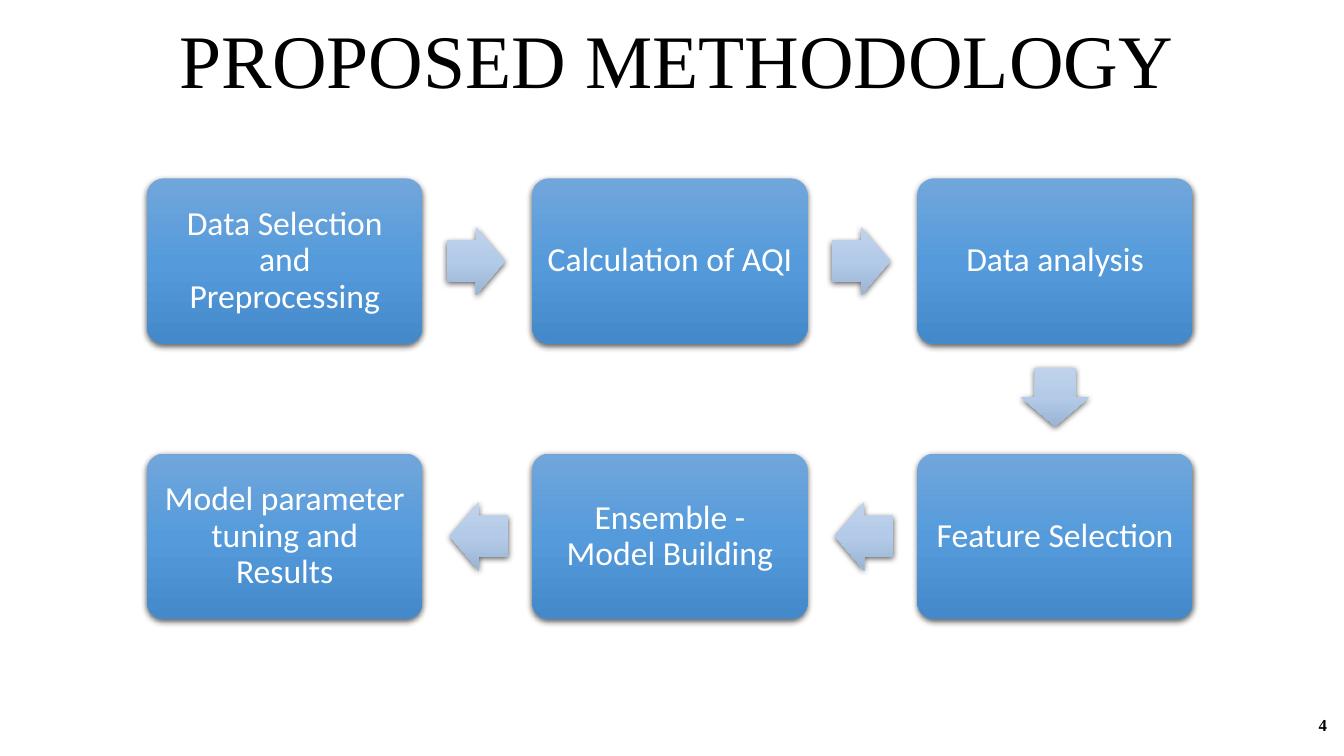
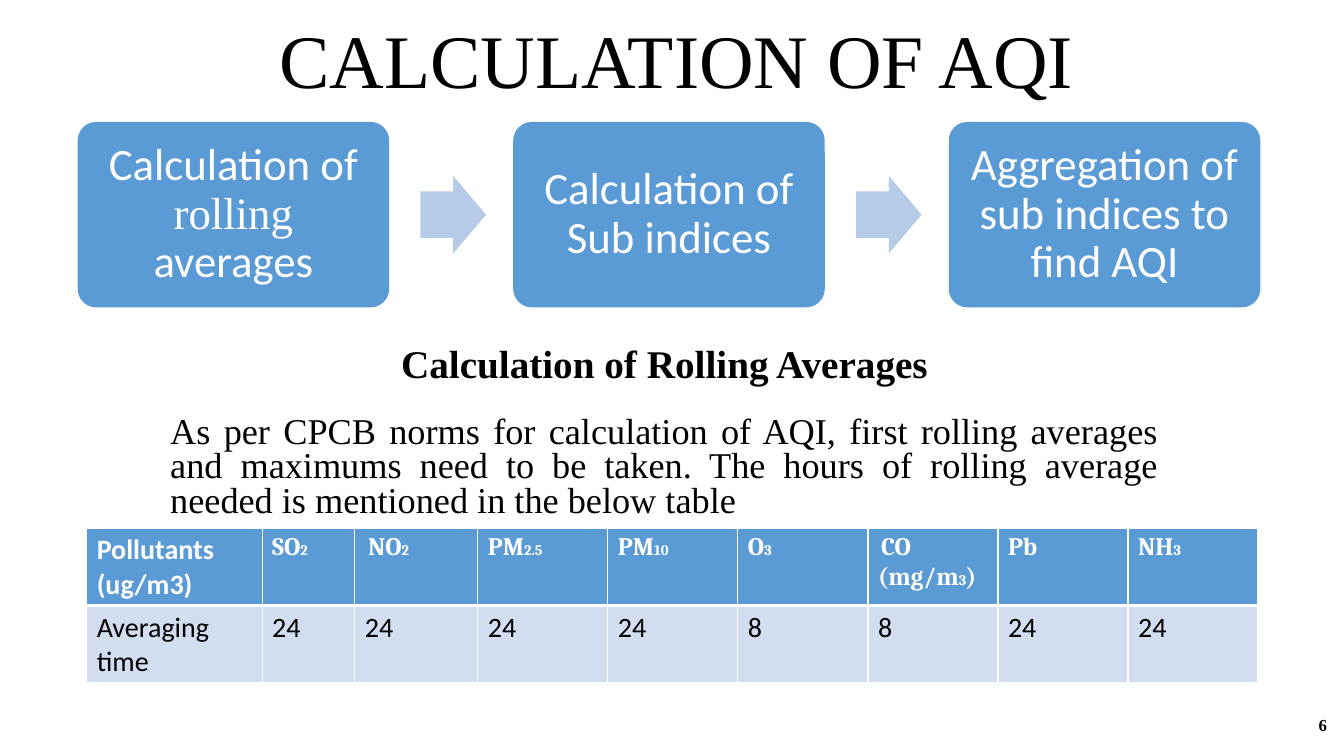
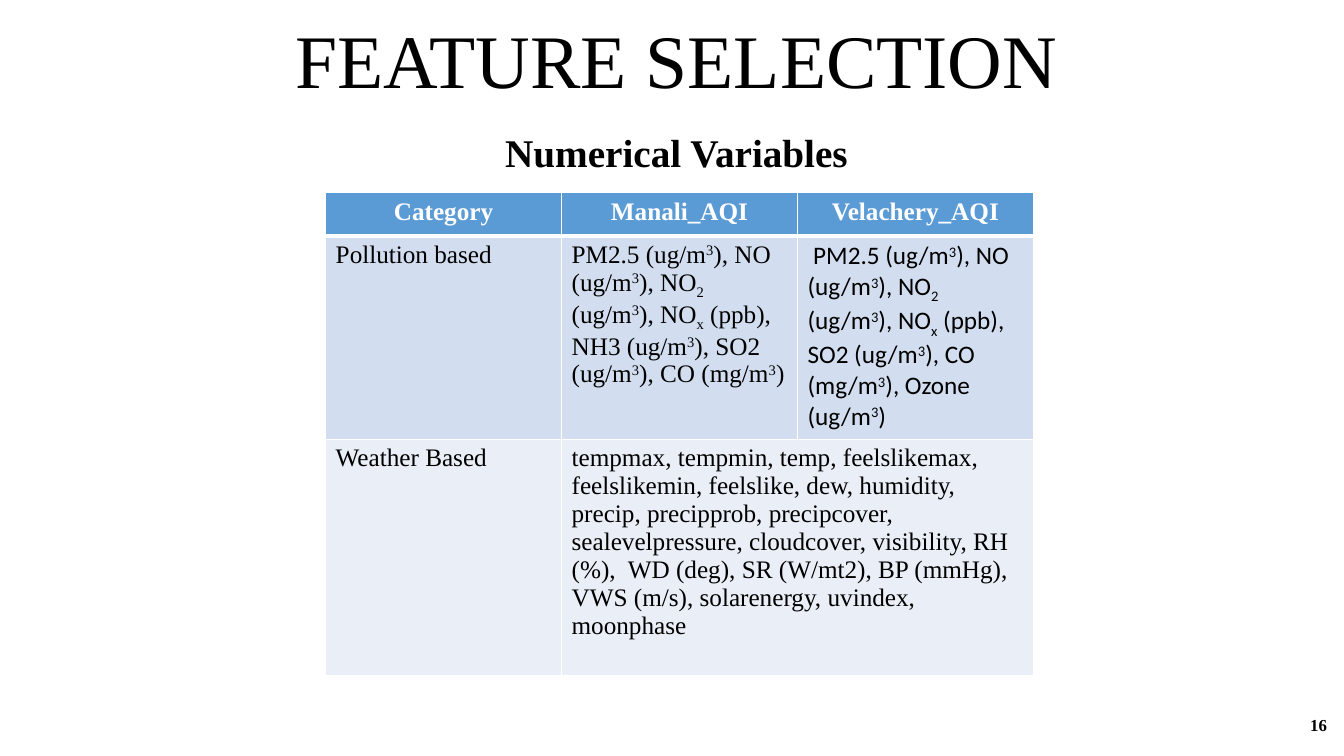
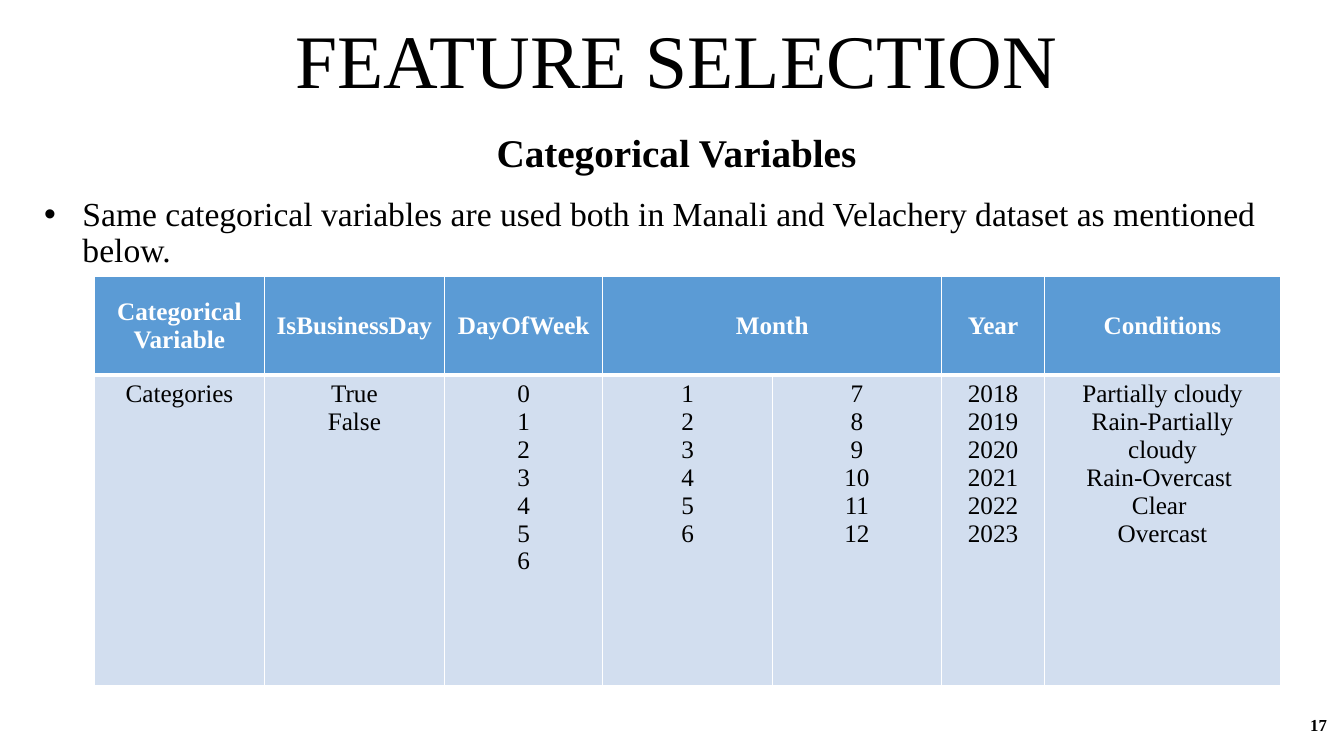
from copy import deepcopy

from lxml.etree import SubElement
from pptx import Presentation
from pptx.dml.color import RGBColor
from pptx.enum.shapes import MSO_SHAPE as Shape
from pptx.enum.text import MSO_ANCHOR as Anchor, PP_ALIGN as Align
from pptx.oxml.ns import qn
from pptx.util import Inches, Pt

COLORS = {
    "black": "000000", "white": "FFFFFF", "blue": "5B9BD5", "arrow": "B5CBE7",
    "band_dark": "D2DEEF", "band_light": "EAEFF7",
    "box_top": "71A6DB", "box_middle": "559BDB", "box_bottom": "448ACA",
    "arrow_top": "C0D2EB", "arrow_middle": "B3CBE9", "arrow_bottom": "9BB4D3",
}
SERIF, SANS, CAMBRIA = "Times New Roman", "Calibri", "Cambria"


def write(frame, text, size, font=SERIF, color="black", bold=False,
          align=Align.LEFT, spacing=None, before=None):
    """Text is a string with one paragraph a line, or a list of runs:
    strings or (string, format) pairs."""
    frame.word_wrap = True
    lines = [[line] for line in text.split("\n")] if isinstance(text, str) else [text]
    for index, runs in enumerate(lines):
        paragraph = frame.paragraphs[0] if index == 0 else frame.add_paragraph()
        paragraph.alignment = align
        paragraph.line_spacing = spacing
        paragraph.space_before = before
        for item in runs:
            content, changes = (item, {}) if isinstance(item, str) else item
            run = paragraph.add_run()
            run.text = content
            run.font.name = changes.get("font", font)
            run.font.size = Pt(changes.get("size", size))
            run.font.bold = bold
            run.font.color.rgb = RGBColor.from_string(COLORS[color])
            if "baseline" in changes:
                run._r.get_or_add_rPr().set("baseline", str(changes["baseline"]))


def add_grid(slide, left, top, widths, heights, rows, header, body):
    """Draw a banded table; None extends the cell on its left."""
    table = slide.shapes.add_table(
        len(rows), len(widths), Inches(left), Inches(top),
        Inches(sum(widths)), Inches(sum(heights))).table
    for column, width in zip(table.columns, widths):
        column.width = Inches(width)
    for row, height in zip(table.rows, heights):
        row.height = Inches(height)
    for r, texts in enumerate(rows):
        for c, text in enumerate(texts):
            cell = table.cell(r, c)
            properties = cell._tc.get_or_add_tcPr()
            for side in ("lnL", "lnR", "lnT", "lnB"):
                thick = (r == 0 and side == "lnB") or (r == 1 and side == "lnT")
                line = SubElement(properties, qn("a:" + side), w=str(Pt(3 if thick else 1)))
                fill = SubElement(line, qn("a:solidFill"))
                SubElement(fill, qn("a:srgbClr"), val=COLORS["white"])
            cell.fill.solid()
            band = ("blue", "band_dark", "band_light")[r]
            cell.fill.fore_color.rgb = RGBColor.from_string(COLORS[band])
            if text is None:
                table.cell(r, c - 1).merge(cell)
            else:
                write(cell.text_frame, text, **(body if r else header))
    return table


presentation = Presentation()
presentation.slide_width = Inches(13.33)
presentation.slide_height = Inches(7.5)

# Slides with their titles and page numbers
slides = []
for title, number in (("PROPOSED METHODOLOGY", "4"), ("CALCULATION OF AQI", "6"),
                      ("FEATURE SELECTION", "16"), ("FEATURE SELECTION", "17")):
    slide = presentation.slides.add_slide(presentation.slide_layouts[6])
    slides.append(slide)
    frame = slide.shapes.add_textbox(
        Inches(0.34), Inches(0.21), Inches(12.74), Inches(0.88)).text_frame
    frame.vertical_anchor = Anchor.BOTTOM
    write(frame, title, 54, align=Align.CENTER, spacing=0.9)
    frame = slide.shapes.add_textbox(
        Inches(10.26), Inches(6.99), Inches(3), Inches(0.4)).text_frame
    frame.vertical_anchor = Anchor.MIDDLE
    write(frame, number, 12, bold=True, align=Align.RIGHT)
method_slide, aqi_slide, numerical_slide, categorical_slide = slides

# Section headings
for slide, left, top, heading in (
        (aqi_slide, 1.59, 3.37, "Calculation of Rolling Averages"),
        (numerical_slide, 1.71, 1.28, "Numerical Variables"),
        (categorical_slide, 1.71, 1.28, "Categorical Variables")):
    frame = slide.shapes.add_textbox(
        Inches(left), Inches(top), Inches(10), Inches(0.63)).text_frame
    write(frame, heading, 28, bold=True, align=Align.CENTER, spacing=0.9, before=Pt(10))

# Flow charts: each arrow points from a box to the next one
ARROWS = {(1, 0): Shape.RIGHT_ARROW, (-1, 0): Shape.LEFT_ARROW, (0, 1): Shape.DOWN_ARROW}
flows = [
    {"slide": method_slide, "origin": (1.46, 1.77), "pitch": (3.82, 2.73),
     "box": (2.73, 1.64), "arrow": (0.58, 0.68), "gap": 0.24, "size": 24, "margin": 0.1,
     "box_colors": ("box_top", "box_middle", "box_bottom"),
     "arrow_colors": ("arrow_top", "arrow_middle", "arrow_bottom"),
     "steps": [("Data Selection and Preprocessing", 0, 0), ("Calculation of AQI", 1, 0),
               ("Data analysis", 2, 0), ("Feature Selection", 2, 1),
               ("Ensemble - Model Building", 1, 1),
               ("Model parameter tuning and Results", 0, 1)]},
    {"slide": aqi_slide, "origin": (0.77, 1.21), "pitch": (4.32, 0),
     "box": (3.09, 1.84), "arrow": (0.65, 0.77), "gap": 0.31, "size": 32, "margin": 0.13,
     "box_colors": ("blue",), "arrow_colors": ("arrow",),
     "steps": [(["Calculation of ", ("rolling", {"font": SERIF}), " averages"], 0, 0),
               ("Calculation of Sub indices", 1, 0),
               ("Aggregation of sub indices to find AQI", 2, 0)]},
]
for flow in flows:
    box_width, box_height = flow["box"]
    length, breadth = flow["arrow"]
    steps = flow["steps"]
    shapes = flow["slide"].shapes
    for index, (text, column, row) in enumerate(steps):
        left = flow["origin"][0] + column * flow["pitch"][0]
        top = flow["origin"][1] + row * flow["pitch"][1]
        box = shapes.add_shape(Shape.ROUNDED_RECTANGLE, Inches(left), Inches(top),
                               Inches(box_width), Inches(box_height))
        box.adjustments[0] = 0.1
        frame = box.text_frame
        frame.margin_left = frame.margin_right = Inches(flow["margin"])
        frame.margin_top = frame.margin_bottom = Inches(flow["margin"])
        frame.vertical_anchor = Anchor.MIDDLE
        write(frame, text, flow["size"], SANS, "white", align=Align.CENTER, spacing=0.9)
        drawn = [(box, flow["box_colors"])]

        if index + 1 < len(steps):
            dx, dy = steps[index + 1][1] - column, steps[index + 1][2] - row
            width, height = (length, breadth) if dx else (breadth, length)
            center_x = left + box_width / 2 + dx * (box_width / 2 + flow["gap"] + length / 2)
            center_y = top + box_height / 2 + dy * (box_height / 2 + flow["gap"] + length / 2)
            arrow = shapes.add_shape(
                ARROWS[dx, dy], Inches(center_x - width / 2), Inches(center_y - height / 2),
                Inches(width), Inches(height))
            arrow.adjustments[0], arrow.adjustments[1] = 0.6, 0.5
            drawn.append((arrow, flow["arrow_colors"]))

        for shape, names in drawn:
            shape.line.fill.background()
            shape.shadow.inherit = False
            if len(names) == 1:
                shape.fill.solid()
                shape.fill.fore_color.rgb = RGBColor.from_string(COLORS[names[0]])
                continue
            # Three-stop gradient and soft shadow
            shape.fill.gradient()
            shape.fill.gradient_angle = 270
            properties = shape._element.spPr
            stop_list = properties.find(qn("a:gradFill")).find(qn("a:gsLst"))
            stop_list.append(deepcopy(stop_list[0]))
            for stop, name, position in zip(shape.fill.gradient_stops, names, (0, 0.5, 1)):
                stop.color.rgb = RGBColor.from_string(COLORS[name])
                stop.position = position
            shadow = SubElement(properties.find(qn("a:effectLst")), qn("a:outerShdw"),
                                blurRad=str(Pt(4.5)), dist=str(Pt(1.5)), dir="5400000",
                                algn="ctr", rotWithShape="0")
            shade = SubElement(shadow, qn("a:srgbClr"), val=COLORS["black"])
            SubElement(shade, qn("a:alpha"), val="63000")

# Rolling averages: explanation and table
frame = aqi_slide.shapes.add_textbox(
    Inches(1.59), Inches(4.08), Inches(10), Inches(1.16)).text_frame
write(frame, "As per CPCB norms for calculation of AQI, first rolling averages and maximums "
      "need to be taken. The hours of rolling average needed is mentioned in the below table",
      25.9, align=Align.JUSTIFY, spacing=0.8, before=Pt(10))
small = {"size": 10.5}
pollutants = [
    "Pollutants\n(ug/m3)", ["SO", ("2", small)], [(" ", small), "NO", ("2", small)],
    ["PM", ("2.5", small)], ["PM", ("10", small)], ["O", ("3", small)],
    [(" ", small), "CO (mg/m", ("3", small), ")"], "Pb", ["NH", ("3", small)]]
averaging = ["Averaging time", "24", "24", "24", "24", "8", "8", "24", "24"]
table = add_grid(aqi_slide, 0.86, 5.24, [1.74, 0.92, 1.22] + [1.29] * 6, [0.76, 0.76],
                 [pollutants, averaging],
                 header={"size": 18, "font": CAMBRIA, "color": "white", "bold": True},
                 body={"size": 20, "font": SANS})
for paragraph in table.cell(0, 0).text_frame.paragraphs:
    for run in paragraph.runs:
        run.font.name, run.font.size = SANS, Pt(20)

# Numerical variables table
serif_header = {"size": 18, "color": "white", "bold": True, "align": Align.CENTER}
cubed = ("3", {"baseline": 30000})
sub_2, sub_x = ("2", {"baseline": -25000}), ("x", {"baseline": -25000})
shared = ["PM2.5 (ug/m", cubed, "), NO (ug/m", cubed, "), NO", sub_2,
          " (ug/m", cubed, "), NO", sub_x]
manali = shared + [" (ppb), NH3 (ug/m", cubed, "), SO2 (ug/m", cubed,
                   "), CO (mg/m", cubed, ")"]
velachery = [" "] + shared + [" (ppb), SO2 (ug/m", cubed, "), CO (mg/m", cubed,
                              "), Ozone (ug/m", cubed, ")"]
weather = ("tempmax, tempmin, temp, feelslikemax, feelslikemin, feelslike, dew, humidity, "
           "precip, precipprob, precipcover, sealevelpressure, cloudcover, visibility, "
           "RH (%),  WD (deg), SR (W/mt2), BP (mmHg), VWS (m/s), solarenergy, uvindex, "
           "moonphase")
table = add_grid(numerical_slide, 3.23, 1.91, [2.34] * 3, [0.43, 2.02, 2.34],
                 [["Category", "Manali_AQI", "Velachery_AQI"],
                  ["Pollution based", manali, velachery],
                  ["Weather Based", weather, None]],
                 header=serif_header, body={"size": 18})
for run in table.cell(1, 2).text_frame.paragraphs[0].runs:
    run.font.name = SANS

# Categorical variables: bullet and table
frame = categorical_slide.shapes.add_textbox(
    Inches(0.34), Inches(1.91), Inches(12.74), Inches(0.83)).text_frame
write(frame, "Same categorical variables are used both in Manali and Velachery dataset "
      "as mentioned below.", 24, spacing=0.9, before=Pt(10))
properties = frame.paragraphs[0]._p.get_or_add_pPr()
properties.set("marL", str(Inches(0.38)))
properties.set("indent", str(-Inches(0.38)))
SubElement(properties, qn("a:buFont"), typeface="Arial")
SubElement(properties, qn("a:buChar"), char="•")
days, first_half, second_half, years = (
    "\n".join(str(value) for value in range(start, end))
    for start, end in ((0, 7), (1, 7), (7, 13), (2018, 2024)))
table = add_grid(categorical_slide, 0.94, 2.74, [1.68, 1.79, 1.57, 1.68, 1.68, 1.02, 2.34],
                 [0.98, 3.08],
                 [["Categorical Variable", "IsBusinessDay", "DayOfWeek", "Month", None,
                   "Year", "Conditions"],
                  ["Categories", "True\nFalse", days, first_half, second_half, years,
                   "Partially cloudy\nRain-Partially cloudy\nRain-Overcast \nClear \nOvercast"]],
                 header=serif_header, body={"size": 18, "align": Align.CENTER})
for cell in table.rows[0].cells:
    cell.vertical_anchor = Anchor.MIDDLE

presentation.save("out.pptx")
